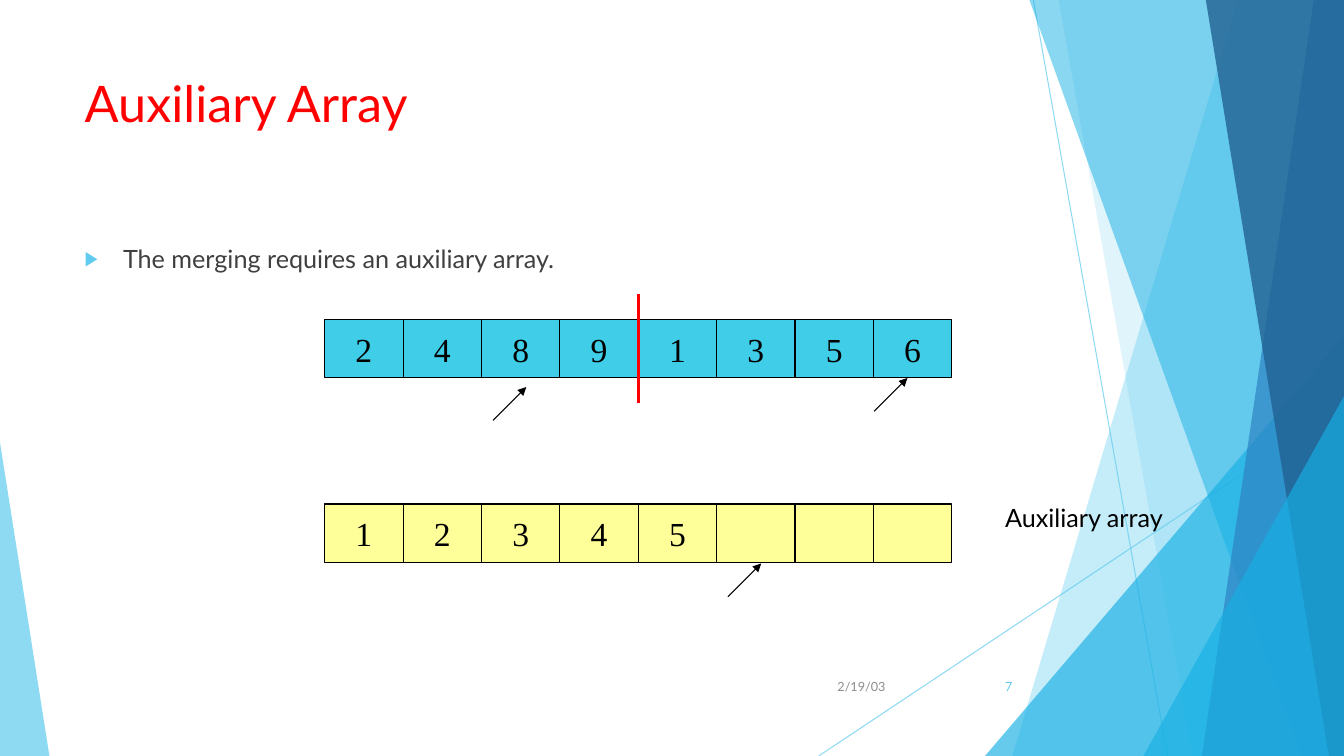
from lxml import etree
from pptx import Presentation
from pptx.dml.color import RGBColor
from pptx.enum.shapes import MSO_CONNECTOR, MSO_SHAPE
from pptx.enum.text import MSO_ANCHOR, PP_ALIGN
from pptx.oxml.ns import qn
from pptx.util import Inches, Pt

RECTANGLE, TRIANGLE = MSO_SHAPE.RECTANGLE, MSO_SHAPE.ISOSCELES_TRIANGLE
STRAIGHT = MSO_CONNECTOR.STRAIGHT
TOP, MIDDLE = MSO_ANCHOR.TOP, MSO_ANCHOR.MIDDLE
LEFT, CENTER, RIGHT = PP_ALIGN.LEFT, PP_ALIGN.CENTER, PP_ALIGN.RIGHT

WIDTH, HEIGHT = 13.33, 7.5
SKY, BRIGHT, BLACK, RED = "5FCBEF", "17B0E4", "000000", "FF0000"
ROW_LEFT, CELL_WIDTH, CELL_HEIGHT = 3.22, 6.22 / 8, 0.58


def set_color(color_format, color, opacity=100):
    """Set a hex colour; opacity is in percent."""
    color_format.rgb = RGBColor.from_string(color)
    if opacity < 100:
        color_element = color_format._xFill.find(qn("a:srgbClr"))
        etree.SubElement(color_element, qn("a:alpha"), val=str(opacity * 1000))


def write_text(shape, text, size, font, color, alignment, anchor, wrap=True):
    frame = shape.text_frame
    frame.text = text
    frame.word_wrap = wrap
    frame.vertical_anchor = anchor
    paragraph = frame.paragraphs[0]
    paragraph.alignment = alignment
    run_font = paragraph.runs[0].font
    for name, value in {"size": Pt(size), "name": font}.items():
        setattr(run_font, name, value)
    set_color(run_font.color, color)


presentation = Presentation()
presentation.slide_width = Inches(WIDTH)
presentation.slide_height = Inches(HEIGHT)
slide = presentation.slides.add_slide(presentation.slide_layouts[1])
shapes = slide.shapes
title, body = slide.placeholders

# Lines: start, end, colour, width, opacity, arrowhead
background_lines = [
    ((10.25, 0), (11.58, HEIGHT), SKY, 0.75, 70, False),
    ((WIDTH, 4.03), (8.12, HEIGHT), SKY, 0.75, 70, False),
]
divider_x = ROW_LEFT + 4 * CELL_WIDTH
marker_lines = [((divider_x, 2.92), (divider_x, 4), RED, 2.25, 100, False)]
for x, y in [(4.89, 4.17), (8.67, 4.08), (7.22, 5.92)]:
    marker_lines.append(((x, y), (x + 0.33, y - 0.33), BLACK, 0.75, 100, True))

# Facets reach the right edge: x at the top, x at the bottom.
# Triangles: left, top, width, position of the apex.
facets = [
    ((12.28, 10.04), "5FCBEF", 36),
    ((10.5, 11.83), "5FCBEF", 20),
    ((9.77, 3.33, 3.56, 1), BRIGHT, 66),
    ((10.21, 12.91), BRIGHT, 50),
    ((13.03, 11.92), "2E83C3", 70),
    ((11.96, 13.18), "226292", 80),
    ((11.34, 3.93, 1.99, 1), BRIGHT, 66),
    ((0, 4.39, 0.49, 0), SKY, 70),
]
for geometry, color, opacity in facets:
    if len(geometry) == 2:
        top_x, bottom_x = geometry
        builder = shapes.build_freeform(Inches(top_x), 0)
        corners = [(WIDTH, 0), (WIDTH, HEIGHT), (bottom_x, HEIGHT)]
        builder.add_line_segments([(Inches(x), Inches(y)) for x, y in corners])
        facet = builder.convert_to_shape()
    else:
        left, top, width, apex = geometry
        facet = shapes.add_shape(TRIANGLE, Inches(left), Inches(top),
                                 Inches(width), Inches(HEIGHT - top))
        facet.adjustments[0] = apex
    facet.shadow.inherit = False
    facet.fill.solid()
    set_color(facet.fill.fore_color, color, opacity)
    facet.line.fill.background()

# Title and bullet stand in front of the facets
for placeholder, top, height in [(title, 0.67, 1.44), (body, 2.36, 4.24)]:
    placeholder.left, placeholder.top = Inches(0.74), Inches(top)
    placeholder.width, placeholder.height = Inches(9.4), Inches(height)
    shapes._spTree.append(placeholder._element)
write_text(title, "Auxiliary Array", 36, "Lato", RED, LEFT, TOP)
write_text(body, "The merging requires an auxiliary array.", 18, "Lato",
           "404040", LEFT, TOP)
bullet = body.text_frame.paragraphs[0]
bullet.space_before = Pt(10)
properties = bullet._p.get_or_add_pPr()
properties.set("marL", str(Inches(0.38)))
properties.set("indent", str(Inches(-0.38)))
bullet_color = etree.SubElement(properties, qn("a:buClr"))
etree.SubElement(bullet_color, qn("a:srgbClr"), val=SKY)
etree.SubElement(properties, qn("a:buSzPct"), val="80000")
etree.SubElement(properties, qn("a:buFont"), typeface="Lato")
etree.SubElement(properties, qn("a:buChar"), char="▶")

labels = [
    ("2/19/03", 7.88, 6.61, 1, 9, "8C8C8C", RIGHT, MIDDLE, True),
    ("7", 9.39, 6.61, 0.75, 9, SKY, RIGHT, MIDDLE, True),
    ("Auxiliary array", 9.87, 4.93, 1.85, 18, BLACK, LEFT, TOP, False),
]
for text, left, top, width, size, color, alignment, anchor, wrap in labels:
    label = shapes.add_textbox(Inches(left), Inches(top), Inches(width), Inches(0.4))
    write_text(label, text, size, "Lato", color, alignment, anchor, wrap)

array_rows = [
    (3.17, "3FCDE7", ["2", "4", "8", "9", "1", "3", "5", "6"]),
    (5, "FFFF99", ["1", "2", "3", "4", "5", "", "", ""]),
]
for top, color, values in array_rows:
    for column, value in enumerate(values):
        cell = shapes.add_shape(RECTANGLE, Inches(ROW_LEFT + column * CELL_WIDTH),
                                Inches(top), Inches(CELL_WIDTH), Inches(CELL_HEIGHT))
        cell.shadow.inherit = False
        cell.fill.solid()
        set_color(cell.fill.fore_color, color)
        set_color(cell.line.color, BLACK)
        cell.line.width = Pt(0.75)
        if value:
            write_text(cell, value, 24, "Times New Roman", BLACK, CENTER, MIDDLE, False)

connectors = []
for start, end, color, width, opacity, arrowhead in background_lines + marker_lines:
    connector = shapes.add_connector(STRAIGHT, *map(Inches, start + end))
    connector.line.width = Pt(width)
    set_color(connector.line.color, color, opacity)
    if arrowhead:
        etree.SubElement(connector.line._ln, qn("a:tailEnd"), type="triangle")
    etree.SubElement(connector._element.spPr, qn("a:effectLst"))
    connectors.append(connector)

# The two background lines lie behind everything
for connector in reversed(connectors[:len(background_lines)]):
    shapes._spTree.insert(2, connector._element)

presentation.save("out.pptx")
